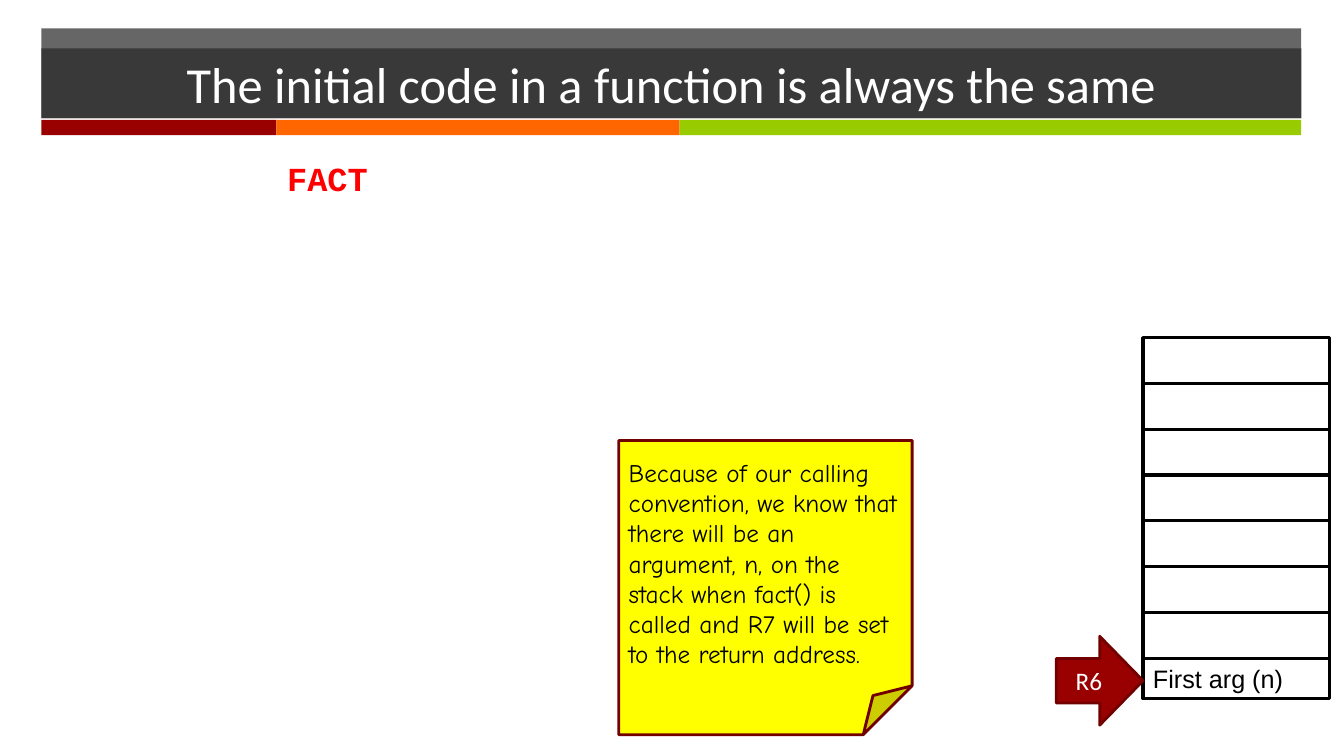
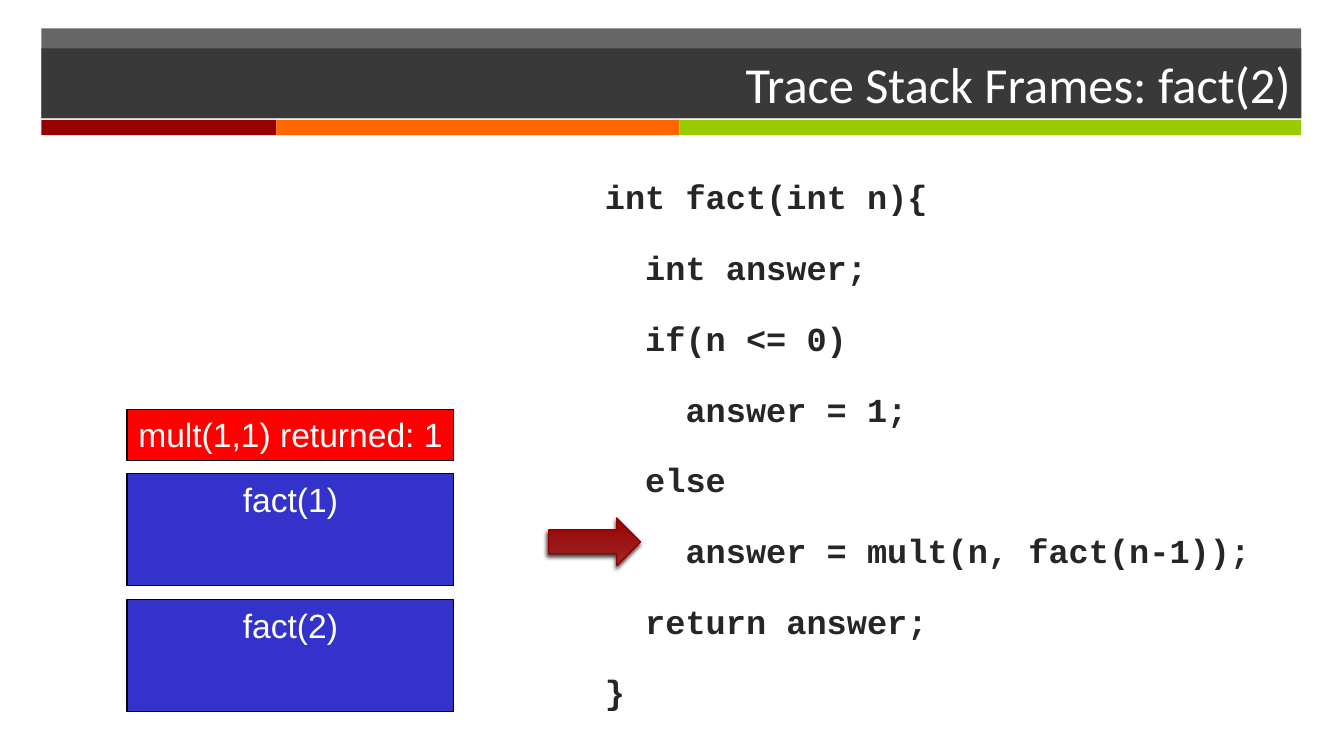
from dataclasses import dataclass
from itertools import accumulate

from lxml.etree import SubElement
from pptx import Presentation
from pptx.dml.color import RGBColor
from pptx.enum.shapes import MSO_SHAPE
from pptx.enum.text import MSO_ANCHOR, PP_ALIGN
from pptx.oxml.ns import qn
from pptx.util import Pt


@dataclass(frozen=True)
class Theme:
    black: str = "000000"
    white: str = "FFFFFF"
    dark: str = "262626"
    maroon: str = "990000"
    orange: str = "FF6600"
    lime: str = "99CC00"
    red: str = "FF0000"
    blue: str = "3333CC"
    yellow: str = "FFFF00"
    edge: str = "710000"
    glow: str = "9D2828"
    rim: str = "960000"
    sans: str = "Arial"
    head: str = "Calibri"
    hand: str = "Comic Neue"
    mono: str = "Courier New"
    large: int = 36
    mid: int = 24
    small: int = 18
    left: float = 29.5
    width: int = 900


T = Theme()
TITLE = dict(name=T.head, size=Pt(T.large), color=T.white)
CODE = dict(name=T.mono, size=Pt(T.mid), bold=True, color=T.dark)
LABEL = dict(name=T.head, size=Pt(T.small), color=T.white)
CELL = dict(name=T.sans, size=Pt(T.small), color=T.black)
FRAME = dict(name=T.sans, size=Pt(T.mid), color=T.white)
NOTE = dict(name=T.hand, size=Pt(T.small), color=T.black)
STEP = 28.8


def place(item, box):
    for key, value in zip(("left", "top", "width", "height"), box):
        setattr(item, key, Pt(value))


def style(font, form):
    for key, value in form.items():
        if key == "color":
            font.color.rgb = RGBColor.from_string(value)
        else:
            setattr(font, key, value)


def write(para, text, form, align=PP_ALIGN.LEFT):
    para.alignment = align
    run = para.add_run()
    run.text = text
    style(run.font, form)


def paint(shape, fill, alpha=None):
    shape.fill.solid()
    shape.fill.fore_color.rgb = RGBColor.from_string(fill)
    if alpha:
        color = shape.element.spPr.find(".//" + qn("a:srgbClr"))
        SubElement(color, qn("a:alpha"), val=str(alpha * 1000))


def draw(slide, kind, box, fill=None, line=None, weight=1):
    shape = slide.shapes.add_shape(kind, *map(Pt, box))
    shape.shadow.inherit = False
    if fill:
        paint(shape, fill)
    else:
        shape.fill.background()
    if line:
        shape.line.color.rgb = RGBColor.from_string(line)
        shape.line.width = Pt(weight)
    else:
        shape.line.fill.background()
    return shape


def label(shape, text, form, align=PP_ALIGN.CENTER, anchor=MSO_ANCHOR.MIDDLE):
    frame = shape.text_frame
    frame.word_wrap = True
    frame.vertical_anchor = anchor
    write(frame.paragraphs[0], text, form, align)


def add_code(slide, box, lines, form, gap=0):
    frame = slide.shapes.add_textbox(*map(Pt, box)).text_frame
    frame.word_wrap = True
    for spot, (depth, text) in enumerate(lines):
        para = frame.add_paragraph() if spot else frame.paragraphs[0]
        para.space_after = Pt(gap)
        para._p.get_or_add_pPr().set("marL", str(Pt(depth * STEP)))
        write(para, text, form)


def add_bands(slide):
    band = draw(slide, MSO_SHAPE.RECTANGLE, (T.left, 20.3, T.width, 64), T.dark)
    paint(band, T.dark, 70)
    bands = [band]
    sizes = (168, 288, 444)
    starts = accumulate(sizes, initial=T.left)
    for start, size, fill in zip(starts, sizes, (T.maroon, T.orange, T.lime)):
        box = (start, 85.7, size, 10.8)
        bands.append(draw(slide, MSO_SHAPE.RECTANGLE, box, fill))
    tree = slide.slide_layout.shapes.element
    for spot, shape in enumerate(bands, 2):
        tree.insert(spot, shape.element)


def add_slide(deck, text, align):
    slide = deck.slides.add_slide(deck.slide_layouts[5])
    title = slide.shapes.title
    place(title, (T.left, 34.5, T.width, 50))
    paint(title, T.dark, 70)
    label(title, text, TITLE, align)
    return slide


def add_stack(slide, left, top, width, pitch, count):
    for row in range(count):
        box = (left, top + row * pitch, width, pitch)
        draw(slide, MSO_SHAPE.RECTANGLE, box, line=T.black, weight=2.25)
    box = (left, top + count * pitch, width, 29)
    cell = draw(slide, MSO_SHAPE.RECTANGLE, box, line=T.black, weight=2.25)
    label(cell, "First arg (n)", CELL, PP_ALIGN.LEFT, MSO_ANCHOR.TOP)


def add_frame(slide, top, height, fill, text):
    box = (90.7, top, 233.5, height)
    shape = draw(slide, MSO_SHAPE.RECTANGLE, box, fill, T.black, 0.75)
    label(shape, text, FRAME, anchor=MSO_ANCHOR.TOP)


def add_mark(slide, box):
    mark = draw(slide, MSO_SHAPE.RIGHT_ARROW, box, T.maroon, T.rim)
    mark.fill.gradient()
    mark.fill.gradient_angle = 90
    for stop, color in zip(mark.fill.gradient_stops, (T.glow, T.maroon)):
        stop.color.rgb = RGBColor.from_string(color)
    effects = mark.element.spPr.find(qn("a:effectLst"))
    shade = SubElement(effects, qn("a:outerShdw"), blurRad=str(Pt(3)),
                       dist=str(Pt(2)), dir=str(110 * 60000), rotWithShape="0")
    color = SubElement(shade, qn("a:srgbClr"), val=T.black)
    SubElement(color, qn("a:alpha"), val="75000")


def start_slide(deck):
    slide = add_slide(deck, "The initial code in a function is always the same",
                      PP_ALIGN.CENTER)
    add_bands(slide)
    add_code(slide, (198, 109.4, 666, 386), [(0, "FACT")], CODE | dict(color=T.red))
    add_stack(slide, 816.5, 241.2, 133.5, 32.7, 7)
    arrow = draw(slide, MSO_SHAPE.RIGHT_ARROW, (754.5, 454.5, 62, 63.5),
                 T.maroon, T.edge, 2)
    label(arrow, "R6", LABEL)
    note = draw(slide, MSO_SHAPE.FOLDED_CORNER, (442, 314.6, 209.5, 210.2),
                T.yellow, T.edge, 2)
    label(note, "Because of our calling convention, we know that there will be an "
          "argument, n, on the stack when fact() is called and R7 will be set to "
          "the return address.", NOTE, PP_ALIGN.LEFT)


def trace_slide(deck):
    slide = add_slide(deck, "Trace Stack Frames: fact(2)", PP_ALIGN.RIGHT)
    add_frame(slide, 428.5, 80, T.blue, "fact(2)")
    add_frame(slide, 338.4, 80, T.blue, "fact(1)")
    add_frame(slide, 292.3, 36.3, T.red, "mult(1,1) returned: 1")
    lines = [
        (0, "int fact(int n){"),
        (1, "int answer;"),
        (1, "if(n <= 0)"),
        (2, "answer = 1;"),
        (1, "else"),
        (2, "answer = mult(n, fact(n-1));"),
        (1, "return answer;"),
        (0, "}"),
    ]
    add_code(slide, (425, 122.4, 505, 396), lines, CODE, 21.7)
    add_mark(slide, (392, 370, 65.5, 34))


def main():
    deck = Presentation()
    deck.slide_width, deck.slide_height = Pt(960), Pt(540)
    start_slide(deck)
    trace_slide(deck)
    deck.save("out.pptx")


if __name__ == "__main__":
    main()
